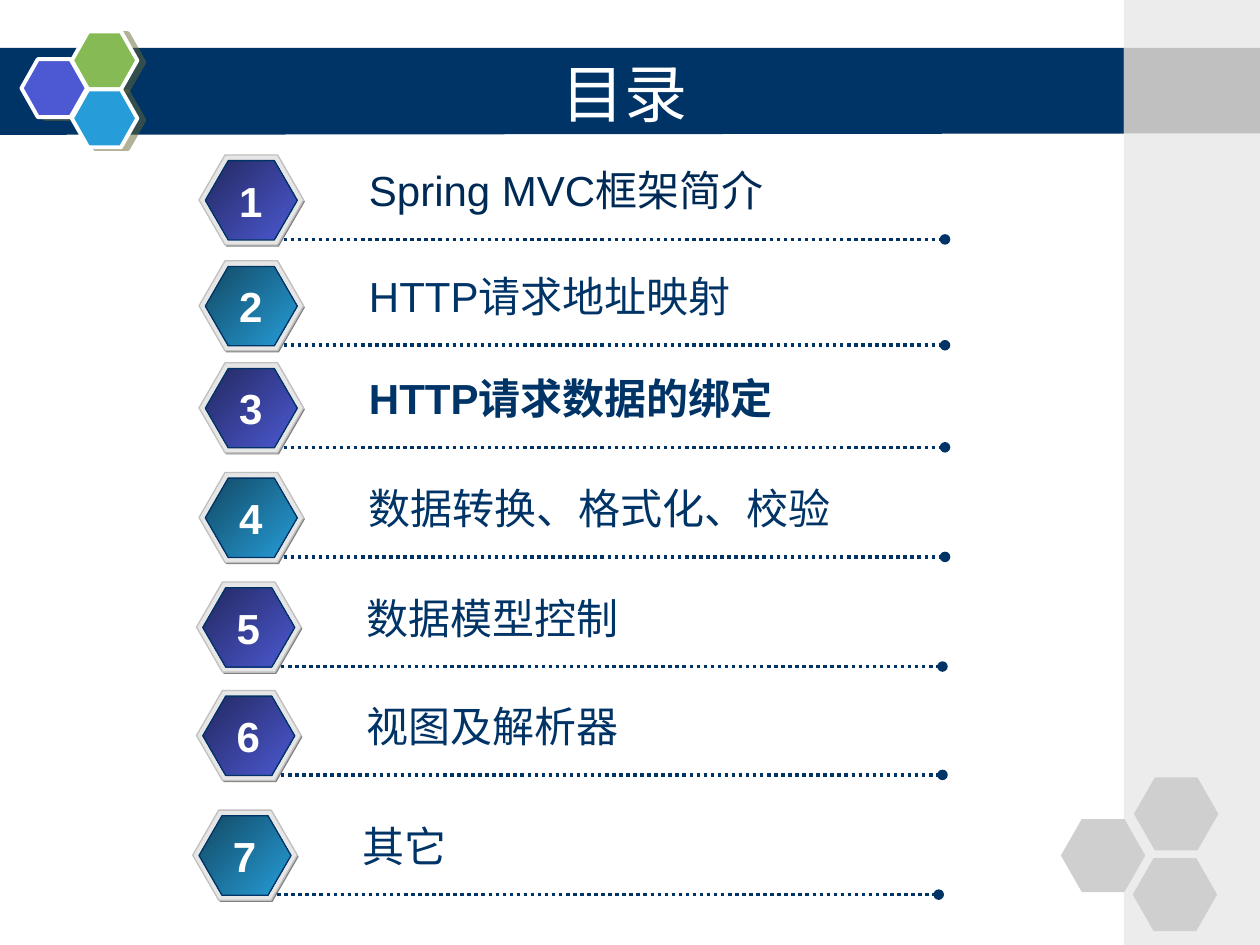
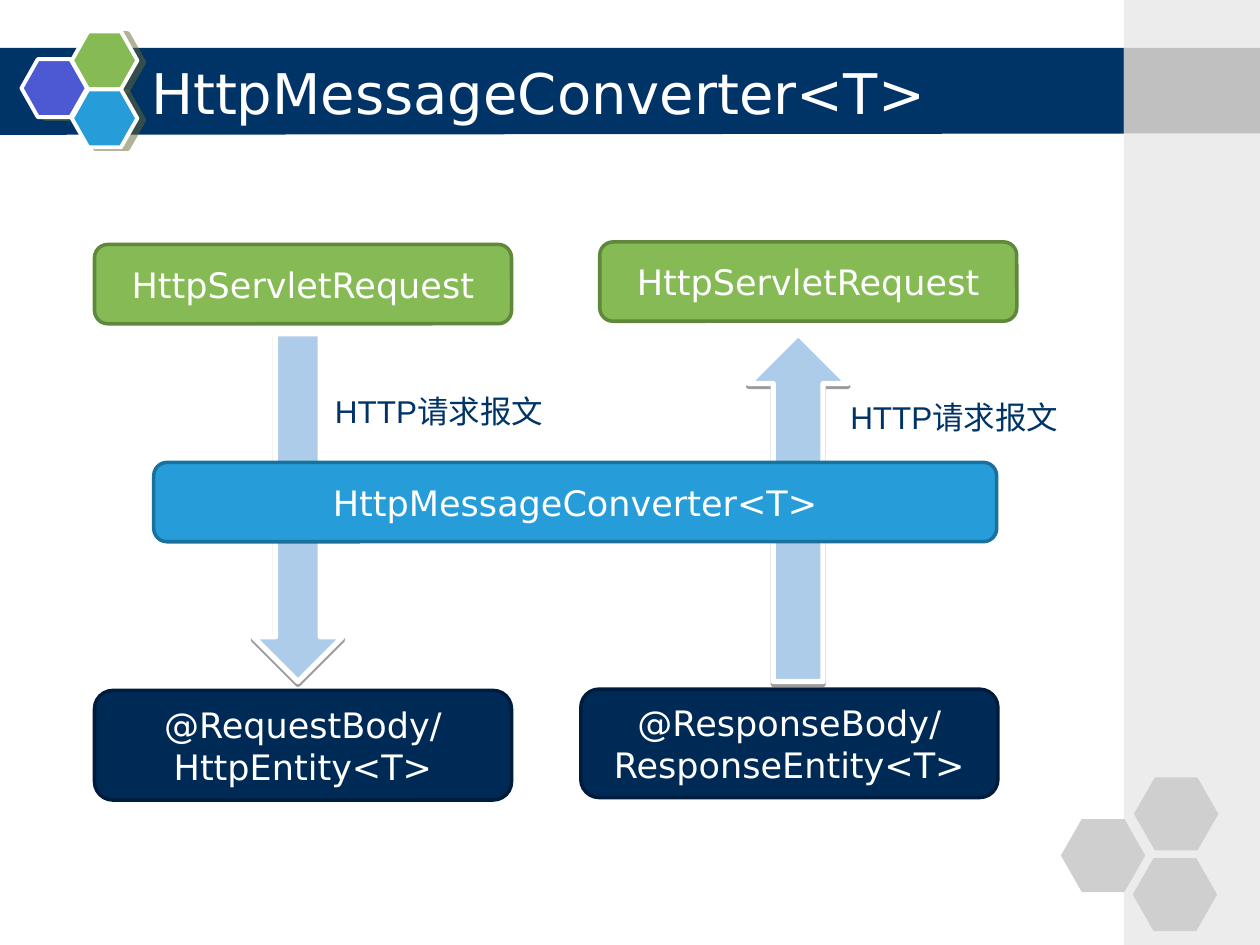
from dataclasses import dataclass
from typing import NamedTuple, Optional

from lxml import etree
from pptx import Presentation
from pptx.dml.color import RGBColor
from pptx.enum.dml import MSO_LINE
from pptx.enum.shapes import MSO_CONNECTOR, MSO_SHAPE
from pptx.enum.text import MSO_ANCHOR, PP_ALIGN
from pptx.oxml.ns import qn
from pptx.util import Emu, Inches, Pt

HEXAGON, RECT, ROUND_RECT = MSO_SHAPE.HEXAGON, MSO_SHAPE.RECTANGLE, MSO_SHAPE.ROUNDED_RECTANGLE
DOWN_ARROW, UP_ARROW = MSO_SHAPE.DOWN_ARROW, MSO_SHAPE.UP_ARROW
STRAIGHT, DOTTED = MSO_CONNECTOR.STRAIGHT, MSO_LINE.ROUND_DOT
LEFT, CENTER = PP_ALIGN.LEFT, PP_ALIGN.CENTER
TOP, MIDDLE = MSO_ANCHOR.TOP, MSO_ANCHOR.MIDDLE

# Colours
WHITE = RGBColor(0xFF, 0xFF, 0xFF)
BLACK = RGBColor(0x00, 0x00, 0x00)
NAVY = RGBColor(0x00, 0x33, 0x66)
DEEP_NAVY = RGBColor(0x00, 0x2A, 0x56)
NAVY_EDGE = RGBColor(0x00, 0x1C, 0x3D)
VIOLET = RGBColor(0x4C, 0x59, 0xD2)
DARK_VIOLET = RGBColor(0x23, 0x29, 0x61)
BLUE = RGBColor(0x26, 0x9D, 0xD8)
DARK_BLUE = RGBColor(0x12, 0x49, 0x64)
BLUE_EDGE = RGBColor(0x19, 0x72, 0x9E)
PALE_BLUE = RGBColor(0xAC, 0xCC, 0xE9)
GREEN = RGBColor(0x85, 0xBA, 0x54)
GREEN_EDGE = RGBColor(0x60, 0x88, 0x3B)
OLIVE = RGBColor(0x66, 0x66, 0x33)
GREY = RGBColor(0x80, 0x80, 0x80)
SILVER = RGBColor(0xC0, 0xC0, 0xC0)
HEX_GREY = RGBColor(0xCF, 0xCF, 0xCF)
RIM_GREY = RGBColor(0xE6, 0xE6, 0xE6)
PANEL_GREY = RGBColor(0xEC, 0xEC, 0xEC)

# Grid: 100 columns by 75 rows of square cells
COLS, ROWS = 100, 75
CELL = Inches(10) / COLS
SANS, ARIAL = "DejaVu Sans", "Arial"


class Box(NamedTuple):
    col: float
    row: float
    cols: float
    rows: float

    def emu(self) -> list[Emu]:
        return [cells(v) for v in self]


class Edge(NamedTuple):
    color: RGBColor
    width: float


class Shadow(NamedTuple):
    color: RGBColor
    alpha: int
    distance: float
    angle: int


@dataclass
class TextStyle:
    size: float
    color: RGBColor
    name: str = ARIAL
    bold: bool = False
    align: PP_ALIGN = LEFT
    anchor: MSO_ANCHOR = TOP
    wrap: bool = True


@dataclass
class Part:
    kind: MSO_SHAPE
    box: Box
    fill: RGBColor
    edge: Optional[Edge] = None
    adj: Optional[float] = None
    shadow: Optional[Shadow] = None
    fill_end: Optional[RGBColor] = None
    text: str = ""


class Topic(NamedTuple):
    col: float
    row: float
    text: str
    start: RGBColor
    end: RGBColor
    color: RGBColor = NAVY
    bold: bool = False


LOGO_SHADOW = Shadow(OLIVE, 50, 4.1, 14)
ARROW_SHADOW = Shadow(BLACK, 38, 1.6, 90)
BOX_TEXT = TextStyle(20, WHITE, SANS, align=CENTER, anchor=MIDDLE)
NUMBER_TEXT = TextStyle(24, WHITE, bold=True, align=CENTER, wrap=False)
LABEL_TEXT = TextStyle(18, NAVY)

# Shared backdrop
BAND = [(-0.3, 3.8), (89.4, 3.8), (89.3, 10.6), (-0.3, 10.7)]
BACKDROP = [
    *(Part(HEXAGON, Box(col, row, 5.2, 4.6), fill, Edge(WHITE, 2.25), 0.283, LOGO_SHADOW)
      for col, row, fill in [(1.7, 4.7, VIOLET), (5.7, 2.5, GREEN), (5.7, 7.1, BLUE)]),
    Part(RECT, Box(89.2, 0, 10.8, ROWS), PANEL_GREY),
    Part(RECT, Box(89.2, 3.8, 10.8, 6.8), SILVER),
    *(Part(HEXAGON, Box(col, row, 6.7, 5.8), HEX_GREY, adj=0.286)
      for col, row in [(84.2, 65), (90, 61.7), (89.9, 68.1)]),
]

# Contents
VIOLETS, BLUES = (DARK_VIOLET, VIOLET), (DARK_BLUE, BLUE)
TOPICS = [
    Topic(15.8, 12.3, "Spring MVC框架简介", *VIOLETS, color=DEEP_NAVY),
    Topic(15.8, 20.7, "HTTP请求地址映射", *BLUES),
    Topic(15.8, 28.8, "HTTP请求数据的绑定", *VIOLETS, bold=True),
    Topic(15.8, 37.5, "数据转换、格式化、校验", *BLUES),
    Topic(15.6, 46.2, "数据模型控制", *VIOLETS),
    Topic(15.6, 54.8, "视图及解析器", *VIOLETS),
    Topic(15.3, 64.3, "其它", *BLUES),
]

# Message flow, from back to front
REQUEST = "HttpServletRequest"
CONVERTER = "HttpMessageConverter<T>"
FLOW = [
    *(Part(ROUND_RECT, Box(col, row, 33.1, rows), fill, Edge(edge, 2), 0.167, text=text)
      for col, row, rows, fill, edge, text in [
          (7.5, 19.4, 6.3, GREEN, GREEN_EDGE, REQUEST),
          (47.6, 19.2, 6.3, GREEN, GREEN_EDGE, REQUEST),
          (7.5, 54.8, 8.7, DEEP_NAVY, NAVY_EDGE, "@RequestBody/\nHttpEntity<T>"),
          (46.1, 54.7, 8.6, DEEP_NAVY, NAVY_EDGE, "@ResponseBody/\nResponseEntity<T>")]),
    *(Part(kind, Box(col, 26.5, cols, 27.6), PALE_BLUE, Edge(WHITE, 3), 0.5, ARROW_SHADOW)
      for kind, col, cols in [(DOWN_ARROW, 20.1, 7.1), (UP_ARROW, 59.4, 7.9)]),
    Part(ROUND_RECT, Box(12.2, 36.7, 66.9, 6.3), BLUE, Edge(BLUE_EDGE, 2), 0.167, text=CONVERTER),
]
FLOW_LABELS = [Box(25.6, 30.6, 22, 4), Box(66.5, 31.1, 19.7, 4)]


def cells(n: float) -> Emu:
    return Emu(round(n * CELL))


def write(sp, text: str, style: TextStyle) -> None:
    tf = sp.text_frame
    tf.word_wrap, tf.vertical_anchor = style.wrap, style.anchor
    font = {"size": Pt(style.size), "name": style.name, "bold": style.bold}
    for i, line in enumerate(text.split("\n")):
        p = tf.add_paragraph() if i else tf.paragraphs[0]
        p.alignment = style.align
        r = p.add_run()
        r.text = line
        for key, value in font.items():
            setattr(r.font, key, value)
        r.font.color.rgb = style.color


def add_text(s, box: Box, text: str, style: TextStyle) -> None:
    write(s.shapes.add_textbox(*box.emu()), text, style)


def add_shadow(sp, shadow: Shadow) -> None:
    effects = sp._element.spPr.find(qn("a:effectLst"))
    outer = etree.SubElement(effects, qn("a:outerShdw"), dist=str(Pt(shadow.distance)),
                             dir=str(shadow.angle * 60000), algn="ctr", rotWithShape="0")
    color = etree.SubElement(outer, qn("a:srgbClr"), val=str(shadow.color))
    etree.SubElement(color, qn("a:alpha"), val=str(shadow.alpha * 1000))


def paint(sp, fill: RGBColor, edge: Optional[Edge] = None,
          fill_end: Optional[RGBColor] = None) -> None:
    sp.shadow.inherit = False
    if fill_end is None:
        sp.fill.solid()
        sp.fill.fore_color.rgb = fill
    else:
        sp.fill.gradient()
        sp.fill.gradient_angle = 315
        for stop, color in zip(sp.fill.gradient_stops, (fill, fill_end)):
            stop.color.rgb = color
    if edge:
        sp.line.color.rgb, sp.line.width = edge.color, Pt(edge.width)
    else:
        sp.line.fill.background()


def add_part(s, part: Part) -> None:
    sp = s.shapes.add_shape(part.kind, *part.box.emu())
    paint(sp, part.fill, part.edge, part.fill_end)
    if part.adj is not None:
        sp.adjustments[0] = part.adj
    if part.shadow:
        add_shadow(sp, part.shadow)
    if part.text:
        write(sp, part.text, BOX_TEXT)


def add_dotted_line(s, col: float, row: float, length: float) -> None:
    y = cells(row)
    line = s.shapes.add_connector(STRAIGHT, cells(col), y, cells(col + length), y)
    line.line.color.rgb = NAVY
    line.line.width, line.line.dash_style = Pt(2), DOTTED
    etree.SubElement(line.line._get_or_add_ln(), qn("a:tailEnd"), type="oval")
    etree.SubElement(line._element.spPr, qn("a:effectLst"))


def add_topic(s, number: int, t: Topic) -> None:
    def at(dx: float, dy: float, cols: float, rows: float) -> Box:
        return Box(t.col + dx, t.row + dy, cols, rows)

    for part in (
        Part(HEXAGON, at(0.1, 0.13, 8.3, 7.15), GREY, adj=0.289),
        Part(HEXAGON, at(0, 0, 8.3, 7.15), RIM_GREY, Edge(SILVER, 0.75), 0.289),
        Part(HEXAGON, at(0.5, 0.45, 7.3, 6.3), t.start, Edge(NAVY, 0.75), 0.289, fill_end=t.end),
    ):
        add_part(s, part)
    add_dotted_line(s, t.col + 6.7, t.row + 6.7, 52.5)
    add_text(s, at(12.5, 0.3, 46.4, 5), t.text, TextStyle(24, t.color, bold=t.bold))
    add_text(s, at(2.2, 1.1, 3.8, 5), str(number), NUMBER_TEXT)


def new_slide(prs, title: str, box: Box, size: float, align: PP_ALIGN):
    s = prs.slides.add_slide(prs.slide_layouts[6])
    points = [(cells(x), cells(y)) for x, y in BAND]
    outline = s.shapes.build_freeform(*points[0])
    outline.add_line_segments(points[1:], close=True)
    paint(outline.convert_to_shape(), NAVY)
    for part in BACKDROP:
        add_part(s, part)
    add_text(s, box, title, TextStyle(size, WHITE, SANS, align=align, anchor=MIDDLE))
    return s


def main() -> None:
    prs = Presentation()
    prs.slide_width, prs.slide_height = cells(COLS), cells(ROWS)

    # Slide 1: contents
    s = new_slide(prs, "目录", Box(12.5, 4.2, 74.2, 6.2), 36, CENTER)
    for number, topic in enumerate(TOPICS, 1):
        add_topic(s, number, topic)

    # Slide 2: message converter
    s = new_slide(prs, CONVERTER, Box(11, 4.2, 79.9, 6.2), 32, LEFT)
    for part in FLOW:
        add_part(s, part)
    for box in FLOW_LABELS:
        add_text(s, box, "HTTP请求报文", LABEL_TEXT)

    prs.save("out.pptx")


if __name__ == "__main__":
    main()
